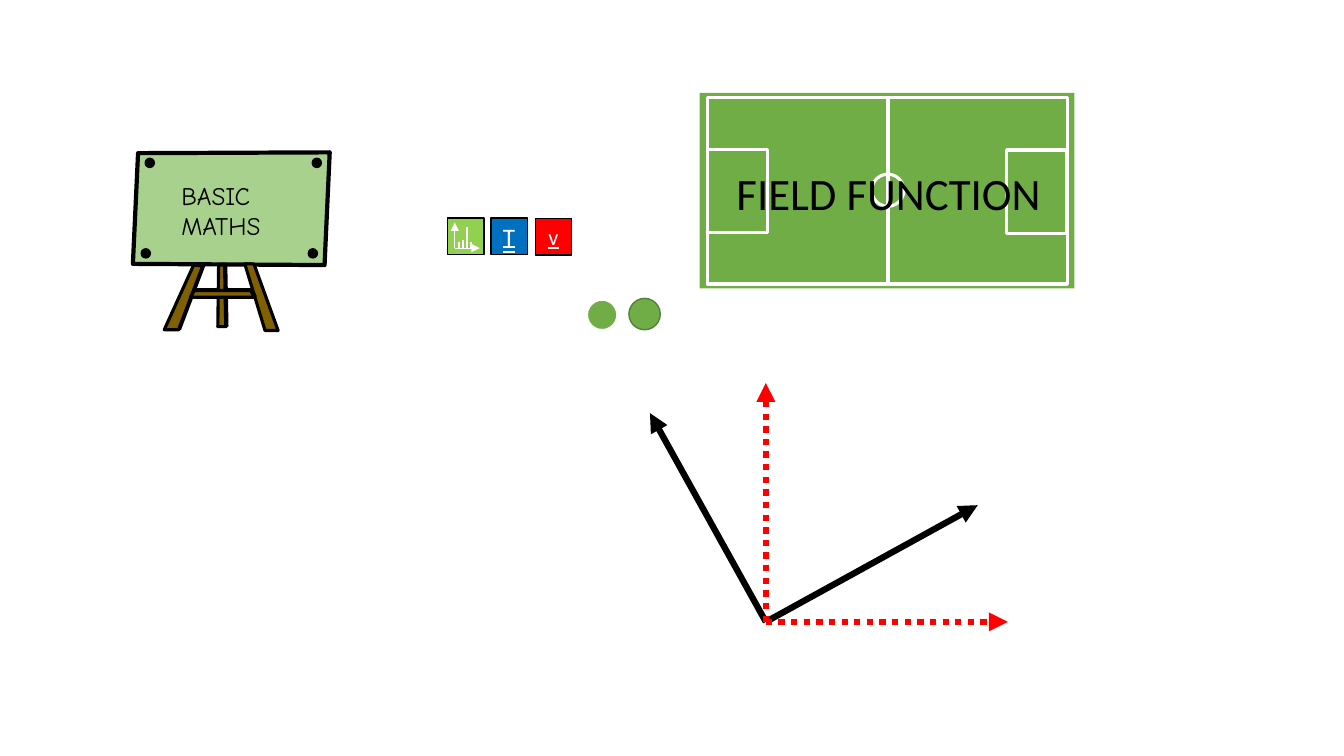
"""Build a slide with a maths board, tool tiles, a field pitch and vectors."""
import dataclasses
import typing

import pptx
import pptx.dml.color
import pptx.enum.dml
import pptx.enum.shapes
import pptx.enum.text
import pptx.oxml
import pptx.oxml.ns
import pptx.util

Cm = pptx.util.Cm
Kind = pptx.enum.shapes.MSO_SHAPE
Under = pptx.enum.text.MSO_UNDERLINE
Point = tuple[float, float]


@dataclasses.dataclass(frozen=True)
class Theme:
    """Colours, fonts, type sizes and line widths."""
    black: str = "000000"
    white: str = "FFFFFF"
    red: str = "FF0000"
    blue: str = "0070C0"
    lime: str = "92D050"
    grass: str = "70AD47"
    moss: str = "538035"
    board: str = "A9D18E"
    wood: str = "806000"
    plain: str = "Calibri"
    hand: str = "Comic Neue"
    small: float = 16
    body: float = 18
    large: float = 32
    hair: float = 0.75
    thin: float = 1
    bar: float = 1.5
    mid: float = 2.25
    thick: float = 3
    bold: float = 4.5


@dataclasses.dataclass(frozen=True)
class Block:
    """A preset shape."""
    left: float
    top: float
    width: float
    height: float
    fill: str | None = None
    line: str | None = None
    weight: float = 1
    kind: Kind = Kind.RECTANGLE


@dataclasses.dataclass(frozen=True)
class Stroke:
    """A straight line or arrow."""
    start: Point
    end: Point
    tint: str
    weight: float
    arrow: bool = False
    dotted: bool = False


@dataclasses.dataclass(frozen=True)
class Panel:
    """A closed outline."""
    points: tuple[Point, ...]
    fill: str | None
    weight: float
    shift: Point = (0, 0)


LOOK = Theme()


def shade(text: str) -> pptx.dml.color.RGBColor:
    """Return the colour for a hex string."""
    return pptx.dml.color.RGBColor.from_string(text)


def paint(shape: typing.Any, fill: str | None, line: str | None, weight: float) -> None:
    """Set fill and line, and drop the shadow."""
    shape.shadow.inherit = False
    for part, tint in ((shape.fill, fill), (shape.line.fill, line)):
        if tint:
            part.solid()
            part.fore_color.rgb = shade(tint)
        else:
            part.background()
    if line:
        shape.line.width = pptx.util.Pt(weight)


def block(shapes: typing.Any, item: Block) -> typing.Any:
    """Draw a preset shape."""
    shape = shapes.add_shape(item.kind, Cm(item.left), Cm(item.top),
                             Cm(item.width), Cm(item.height))
    paint(shape, item.fill, item.line, item.weight)
    return shape


def panel(shapes: typing.Any, item: Panel) -> None:
    """Draw a closed outline."""
    across, down = item.shift
    spots = [(Cm(x + across), Cm(y + down)) for x, y in item.points]
    maker = shapes.build_freeform(*spots[0], scale=1.0)
    maker.add_line_segments(spots[1:], close=True)
    paint(maker.convert_to_shape(), item.fill, LOOK.black, item.weight)


def stroke(shapes: typing.Any, item: Stroke) -> None:
    """Draw a line or an arrow."""
    link = shapes.add_connector(pptx.enum.shapes.MSO_CONNECTOR.STRAIGHT,
                                *(Cm(n) for n in item.start + item.end))
    link.line.color.rgb = shade(item.tint)
    link.line.width = pptx.util.Pt(item.weight)
    if item.dotted:
        link.line.dash_style = pptx.enum.dml.MSO_LINE.ROUND_DOT
    frame = link.element.spPr
    if item.arrow:
        tip = pptx.oxml.parse_xml(
            f'<a:tailEnd {pptx.oxml.ns.nsdecls("a")} type="triangle"/>')
        frame.find(pptx.oxml.ns.qn("a:ln")).append(tip)
    frame.append(pptx.oxml.parse_xml(f'<a:effectLst {pptx.oxml.ns.nsdecls("a")}/>'))


def write(shape: typing.Any, text: str, *, size: float, font: str = LOOK.plain,
          tint: str = LOOK.black, under: Under | None = None,
          middle: bool = False) -> None:
    """Put formatted text in a shape."""
    frame = shape.text_frame
    frame.word_wrap = True
    line = frame.paragraphs[0]
    if middle:
        frame.vertical_anchor = pptx.enum.text.MSO_ANCHOR.MIDDLE
        line.alignment = pptx.enum.text.PP_ALIGN.CENTER
    run = line.add_run()
    run.text = text
    run.font.name, run.font.size = font, pptx.util.Pt(size)
    run.font.color.rgb = shade(tint)
    run.font.underline = under


def easel(shapes: typing.Any) -> None:
    """Draw the board on its stand."""
    panel(shapes, Panel(((3.48, 3.86), (8.31, 3.84), (8.18, 6.68), (3.35, 6.65)),
                        LOOK.board, LOOK.thick))
    for top, lefts in ((3.99, (3.66, 7.87)), (6.27, (3.56, 7.77))):
        for left in lefts:
            block(shapes, Block(left, top, 0.23, 0.23, LOOK.black, LOOK.black,
                                LOOK.thin, Kind.OVAL))
    left_leg = ((4.88, 6.68), (5.11, 6.7), (4.5, 8.31), (4.14, 8.31))
    right_leg = ((6.17, 6.65), (6.4, 6.65), (7.01, 8.33), (6.68, 8.33))
    post = ((5.51, 6.68), (5.66, 6.68), (5.69, 8.23), (5.49, 8.23))
    rail = ((4.9, 7.32), (6.32, 7.32), (6.4, 7.49), (4.8, 7.49))
    back = (0.03, -0.02)
    for points, fill, shift in (
            (left_leg, None, back), (right_leg, LOOK.wood, (0, 0)),
            (post, None, back), (rail, None, back), (left_leg, LOOK.wood, (0, 0)),
            (post, LOOK.wood, (0, 0)), (rail, LOOK.wood, (0, 0))):
        panel(shapes, Panel(points, fill, LOOK.mid, shift))
    label = shapes.add_textbox(Cm(4.32), Cm(4.42), Cm(3.18), Cm(1.8))
    write(label, "BASIC MATHS", size=LOOK.body, font=LOOK.hand)


def tiles(shapes: typing.Any) -> None:
    """Draw the three tool tiles and the small bar chart sign."""
    for left, top, fill, text, size, under in (
            (11.28, 5.49, LOOK.lime, "", LOOK.body, None),
            (12.37, 5.49, LOOK.blue, "T", LOOK.body, Under.DOUBLE_LINE),
            (13.49, 5.51, LOOK.red, "v", LOOK.small, Under.SINGLE_LINE)):
        tile = block(shapes, Block(left, top, 0.92, 0.92, fill, LOOK.black, LOOK.thin))
        if text:
            write(tile, text, size=size, tint=LOOK.white, under=under, middle=True)
    for end in ((12.09, 6.25), (11.46, 5.61)):
        stroke(shapes, Stroke((11.46, 6.25), end, LOOK.white, LOOK.hair, arrow=True))
    for left, top in ((11.56, 6.1), (11.66, 6.05), (11.77, 5.72), (11.87, 6.1)):
        stroke(shapes, Stroke((left, 6.25), (left, top), LOOK.white, LOOK.bar))


def axes(shapes: typing.Any) -> None:
    """Draw the vectors and the dotted axes as one group."""
    group = shapes.add_group_shape().shapes
    for end, dotted in (((16.38, 10.41), False), ((24.64, 12.73), False),
                        ((19.3, 9.65), True), ((25.4, 15.67), True)):
        tint = LOOK.red if dotted else LOOK.black
        stroke(group, Stroke((19.3, 15.67), end, tint, LOOK.bold, True, dotted))


def pitch(shapes: typing.Any) -> None:
    """Draw the field, the two dots and the title."""
    edge = {"line": LOOK.white, "weight": LOOK.mid}
    block(shapes, Block(17.63, 2.34, 9.45, 4.93, LOOK.grass))
    block(shapes, Block(17.83, 2.46, 9.07, 4.7, **edge))
    stroke(shapes, Stroke((22.38, 2.46), (22.38, 7.16), LOOK.white, LOOK.mid))
    block(shapes, Block(21.97, 4.39, 0.81, 0.81, kind=Kind.OVAL, **edge))
    for left, top in ((17.83, 3.76), (25.37, 3.78)):
        block(shapes, Block(left, top, 1.52, 2.11, **edge))
    block(shapes, Block(14.78, 7.54, 0.79, 0.79, LOOK.grass, kind=Kind.OVAL, **edge))
    block(shapes, Block(15.85, 7.52, 0.79, 0.79, LOOK.grass, LOOK.moss,
                        LOOK.thin, Kind.OVAL))
    title = shapes.add_textbox(Cm(18.31), Cm(4.04), Cm(8.84), Cm(1.63))
    write(title, "FIELD FUNCTION", size=LOOK.large)


def main() -> None:
    """Build and save the deck."""
    deck = pptx.Presentation()
    deck.slide_width, deck.slide_height = Cm(33.87), Cm(19.05)
    shapes = deck.slides.add_slide(deck.slide_layouts[6]).shapes
    for draw in (easel, tiles, axes, pitch):
        draw(shapes)
    deck.save("out.pptx")


if __name__ == "__main__":
    main()
